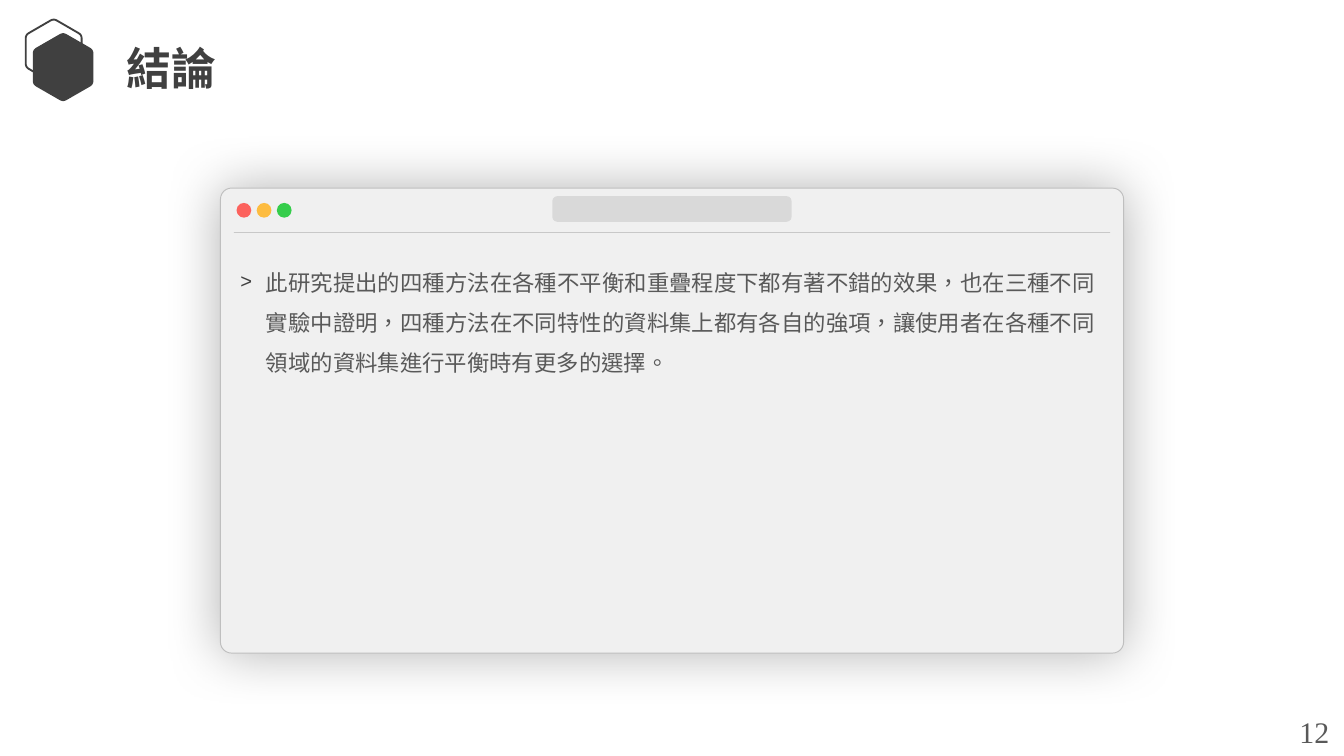
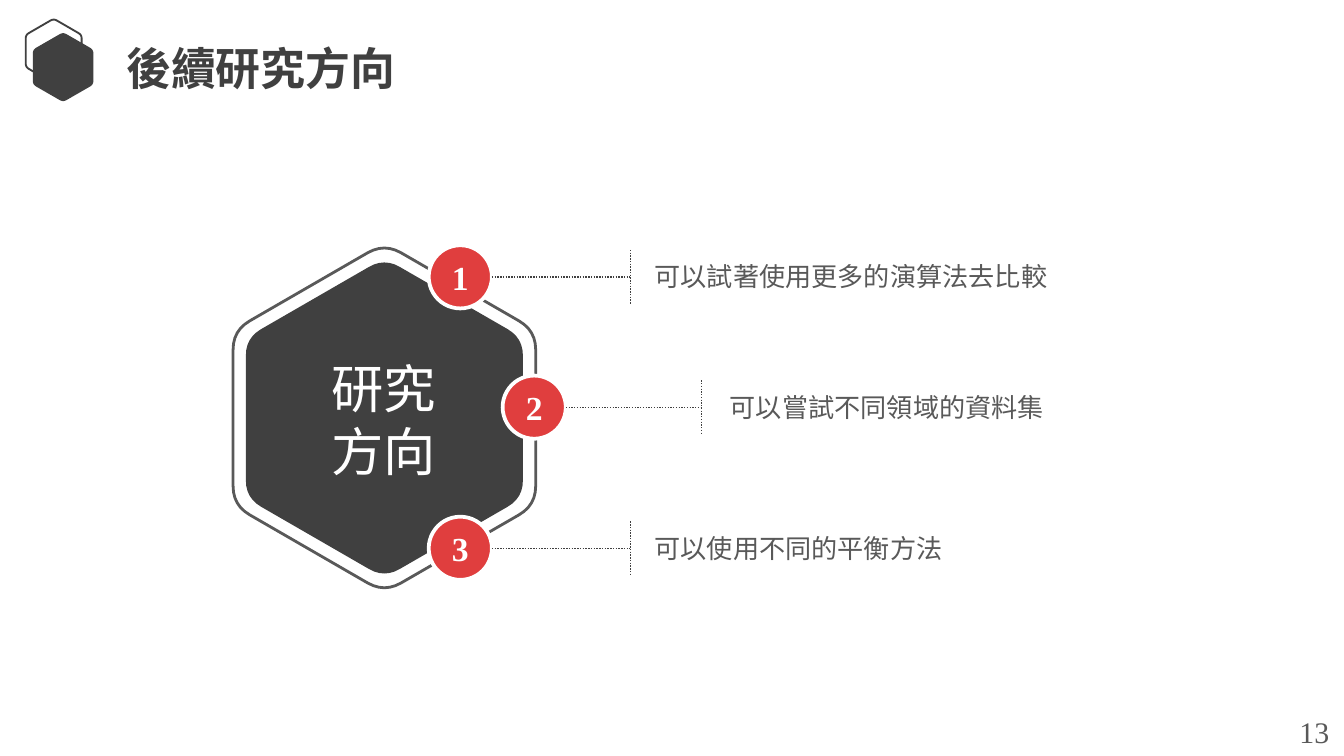
"""Build the closing slides: a conclusion window and a map of further research."""
from dataclasses import dataclass
from math import cos, radians, sin
from typing import Any, NamedTuple, Optional

from lxml import etree
from pptx import Presentation
from pptx.dml.color import RGBColor
from pptx.enum.dml import MSO_LINE
from pptx.enum.lang import MSO_LANGUAGE_ID
from pptx.enum.shapes import MSO_CONNECTOR, MSO_SHAPE
from pptx.enum.text import MSO_ANCHOR, MSO_AUTO_SIZE, PP_ALIGN
from pptx.oxml.ns import qn
from pptx.util import Inches, Pt

OVAL, ROUND = MSO_SHAPE.OVAL, MSO_SHAPE.ROUNDED_RECTANGLE
STRAIGHT = MSO_CONNECTOR.STRAIGHT
SOLID, DOTS = MSO_LINE.SOLID, MSO_LINE.ROUND_DOT
TOP, MIDDLE = MSO_ANCHOR.TOP, MSO_ANCHOR.MIDDLE
LEFT, CENTER, JUSTIFY = PP_ALIGN.LEFT, PP_ALIGN.CENTER, PP_ALIGN.JUSTIFY
GROW = MSO_AUTO_SIZE.SHAPE_TO_FIT_TEXT
TAIWAN = MSO_LANGUAGE_ID.TRADITIONAL_CHINESE
SIDES = ("margin_left", "margin_top", "margin_right", "margin_bottom")


@dataclass(frozen=True)
class Theme:
    """Colours, type sizes and font of the deck."""
    dark: str = "404040"
    text: str = "595959"
    white: str = "FFFFFF"
    red: str = "E03E3E"
    pane: str = "F0F0F0"
    edge: str = "BFBFBF"
    field: str = "D9D9D9"
    lights: tuple[str, ...] = ("FC625D", "FDBC40", "35CD4B")
    font: str = "Times New Roman"
    title: int = 24
    page: int = 16
    body: int = 12
    item: int = 14
    badge: int = 18
    core: int = 28


THEME = Theme()


class Box(NamedTuple):
    """Place and size in inches."""
    left: float
    top: float
    width: float
    height: float


class Style(NamedTuple):
    """Look and setting of a piece of text."""
    size: int
    color: str
    bold: bool = False
    align: PP_ALIGN = LEFT
    anchor: MSO_ANCHOR = TOP
    inset: tuple[float, float] = (0, 0)
    wrap: bool = True
    fit: Optional[MSO_AUTO_SIZE] = GROW


class Hex(NamedTuple):
    """Round-cornered hexagon: centre, radius and paint."""
    x: float
    y: float
    radius: float
    fill: Optional[str] = None
    line: Optional[str] = None
    weight: float = 1


class Item(NamedTuple):
    """One numbered research direction."""
    left: float
    mid: float
    end: float
    start: float
    text: str


SNUG, WIDE = (0.07, 0.04), (0.1, 0.05)
HEAD = Style(THEME.title, THEME.dark, bold=True, inset=SNUG)
PAGE = Style(THEME.page, THEME.text, inset=WIDE, wrap=False)
BODY = Style(THEME.body, THEME.text, align=JUSTIFY, inset=WIDE, fit=None)
NOTE = Style(THEME.item, THEME.text, align=JUSTIFY)
CORE = Style(THEME.core, THEME.white, align=CENTER)
BADGE = Style(THEME.badge, THEME.white, True, CENTER, MIDDLE, SNUG, fit=None)

LOGO = (Hex(0.4, 0.38, 0.24, line=THEME.dark),
        Hex(0.47, 0.5, 0.26, fill=THEME.dark))
INNER = Hex(2.86, 3.11, 1.19, fill=THEME.dark)
OUTER = Hex(2.86, 3.11, 1.3, line=THEME.text, weight=1.5)
ITEMS = (Item(3.19, 2.06, 4.69, 4.87, "可以試著使用更多的演算法去比較"),
         Item(3.74, 3.03, 5.22, 5.43, "可以嘗試不同領域的資料集"),
         Item(3.19, 4.08, 4.69, 4.87, "可以使用不同的平衡方法"))
CLAIM = ("此研究提出的四種方法在各種不平衡和重疊程度下都有著不錯的效果，"
         "也在三種不同實驗中證明，四種方法在不同特性的資料集上都有各自的強項，"
         "讓使用者在各種不同領域的資料集進行平衡時有更多的選擇。")


def apply(target: Any, values: dict[str, Any]) -> None:
    """Set each named value on the target."""
    for name, value in values.items():
        setattr(target, name, value)


def rgb(code: str) -> RGBColor:
    """Turn a hex code into a colour."""
    return RGBColor.from_string(code)


def paint(shape: Any, fill: Optional[str], line: Optional[str] = None,
          weight: float = 1) -> None:
    """Give a shape its fill and line, and no shadow."""
    shape.shadow.inherit = False
    for part, color in ((shape.fill, fill), (shape.line.fill, line)):
        if color:
            part.solid()
            part.fore_color.rgb = rgb(color)
        else:
            part.background()
    if line:
        shape.line.width = Pt(weight)


def write(shape: Any, text: str, style: Style) -> None:
    """Put styled text in a shape."""
    frame = shape.text_frame
    apply(frame, {"word_wrap": style.wrap, "vertical_anchor": style.anchor})
    if style.fit is not None:
        frame.auto_size = style.fit
    apply(frame, dict(zip(SIDES, map(Inches, style.inset * 2))))
    para = frame.paragraphs[0]
    apply(para, {"text": text, "alignment": style.align})
    for run in para.runs:
        apply(run.font, {"name": THEME.font, "size": Pt(style.size),
                         "bold": style.bold, "language_id": TAIWAN})
        run.font.color.rgb = rgb(style.color)


def label(shapes: Any, box: Box, text: str, style: Style) -> None:
    """Add a text box."""
    write(shapes.add_textbox(*map(Inches, box)), text, style)


def block(shapes: Any, kind: MSO_SHAPE, box: Box, fill: Optional[str],
          line: Optional[str] = None, weight: float = 1,
          bend: Optional[float] = None) -> Any:
    """Add a painted preset shape."""
    shape = shapes.add_shape(kind, *map(Inches, box))
    paint(shape, fill, line, weight)
    if bend is not None:
        shape.adjustments[0] = bend
    return shape


def rule(shapes: Any, ends: tuple[float, ...], color: str, weight: float,
         dash: MSO_LINE) -> Any:
    """Add a straight line between two points."""
    link = shapes.add_connector(STRAIGHT, *map(Inches, ends))
    apply(link.line, {"width": Pt(weight), "dash_style": dash})
    link.line.color.rgb = rgb(color)
    etree.SubElement(link._element.spPr, qn("a:effectLst"))
    return link


def draw_hex(shapes: Any, form: Hex, trim: float = 0.11, steps: int = 6) -> None:
    """Draw a hexagon whose corners are quadratic curves."""
    tips = [(form.x + form.radius * cos(radians(turn)),
             form.y + form.radius * sin(radians(turn)))
            for turn in range(-90, 270, 60)]
    points = []
    for index, tip in enumerate(tips):
        near = (tips[index - 1], tips[(index + 1) % 6])
        first, last = ([t + trim * (n - t) for t, n in zip(tip, side)]
                       for side in near)
        for step in range(steps + 1):
            part = step / steps
            points.append(tuple(
                Inches((1 - part) ** 2 * a + 2 * part * (1 - part) * b + part ** 2 * c)
                for a, b, c in zip(first, tip, last)))
    maker = shapes.build_freeform(*points[0])
    maker.add_line_segments(points[1:], close=True)
    paint(maker.convert_to_shape(), form.fill, form.line, form.weight)


def fade(color: Any, share: int) -> None:
    """Set the opacity of a colour element in percent."""
    etree.SubElement(color, qn("a:alpha"), val=str(share * 1000))


def glow(shape: Any, blur: int, share: int) -> None:
    """Spread a soft black shadow round a shape."""
    effect = shape._element.spPr.find(qn("a:effectLst"))
    shade = etree.SubElement(effect, qn("a:outerShdw"), blurRad=str(Pt(blur)),
                             dist="0", dir="0", algn="ctr", rotWithShape="0")
    fade(etree.SubElement(shade, qn("a:srgbClr"), val="000000"), share)


def bullet(para: Any, mark: str, indent: float) -> None:
    """Hang a bullet before a paragraph."""
    props = para._p.get_or_add_pPr()
    props.set("marL", str(Inches(indent)))
    props.set("indent", str(-Inches(indent)))
    color = etree.SubElement(props, qn("a:buClr"))
    etree.SubElement(color, qn("a:srgbClr"), val=THEME.dark)
    for tag, key, value in (("a:buSzPct", "val", "90000"),
                            ("a:buFont", "typeface", "Arial"),
                            ("a:buChar", "char", mark)):
        etree.SubElement(props, qn(tag)).set(key, value)


def start(deck: Any, title: str, page: int) -> Any:
    """Add a slide with its mark, title and page number."""
    shapes = deck.slides.add_slide(deck.slide_layouts[6]).shapes
    logo = shapes.add_group_shape().shapes
    for form in LOGO:
        draw_hex(logo, form)
    label(shapes, Box(0.87, 0.26, 2.6, 0.48), title, HEAD)
    label(shapes, Box(9.57, 5.26, 0.43, 0.37), str(page), PAGE)
    return shapes


def window(shapes: Any) -> None:
    """Draw the app window frame."""
    parts = shapes.add_group_shape().shapes
    pane = block(parts, ROUND, Box(1.64, 1.4, 6.72, 3.46), THEME.pane,
                 THEME.edge, 0.5, bend=0.024)
    glow(pane, blur=30, share=30)
    for index, color in enumerate(THEME.lights):
        block(parts, OVAL, Box(1.76 + 0.15 * index, 1.51, 0.11, 0.11), color)
    block(parts, ROUND, Box(4.11, 1.46, 1.78, 0.19), THEME.field, bend=0.19)
    line = rule(parts, (1.74, 1.73, 8.26, 1.73), THEME.edge, 0.5, SOLID)
    fade(next(line._element.spPr.iter(qn("a:srgbClr"))), 80)


def finish(deck: Any) -> None:
    """Build the conclusion slide."""
    shapes = start(deck, "結論", 12)
    window(shapes)
    body = block(shapes, ROUND, Box(1.69, 1.85, 6.56, 2.27), None, bend=0)
    write(body, CLAIM, BODY)
    para = body.text_frame.paragraphs[0]
    para.line_spacing = 1.5
    bullet(para, ">", 0.19)


def future(deck: Any) -> None:
    """Build the slide on further research."""
    shapes = start(deck, "後續研究方向", 13)
    draw_hex(shapes, INNER)
    label(shapes, Box(2.28, 2.65, 1.15, 0.94), "研究\n方向", CORE)
    draw_hex(shapes, OUTER)
    size, reach, right, height = 0.47, 0.2, 8.82, 0.24
    for number, item in enumerate(ITEMS, 1):
        badge = block(shapes, OVAL, Box(item.left, item.mid - size / 2, size, size),
                      THEME.red, THEME.white, 2)
        write(badge, str(number), BADGE)
        links = shapes.add_group_shape().shapes
        for ends in ((item.left + size, item.mid, item.end, item.mid),
                     (item.end, item.mid - reach, item.end, item.mid + reach)):
            rule(links, ends, THEME.dark, 0.75, DOTS)
        label(shapes, Box(item.start, item.mid - height / 2,
                          right - item.start, height), item.text, NOTE)


def main() -> None:
    """Build and save the deck."""
    deck = Presentation()
    width = Inches(10)
    apply(deck, {"slide_width": width, "slide_height": width * 9 // 16})
    finish(deck)
    future(deck)
    deck.save("out.pptx")


if __name__ == "__main__":
    main()
